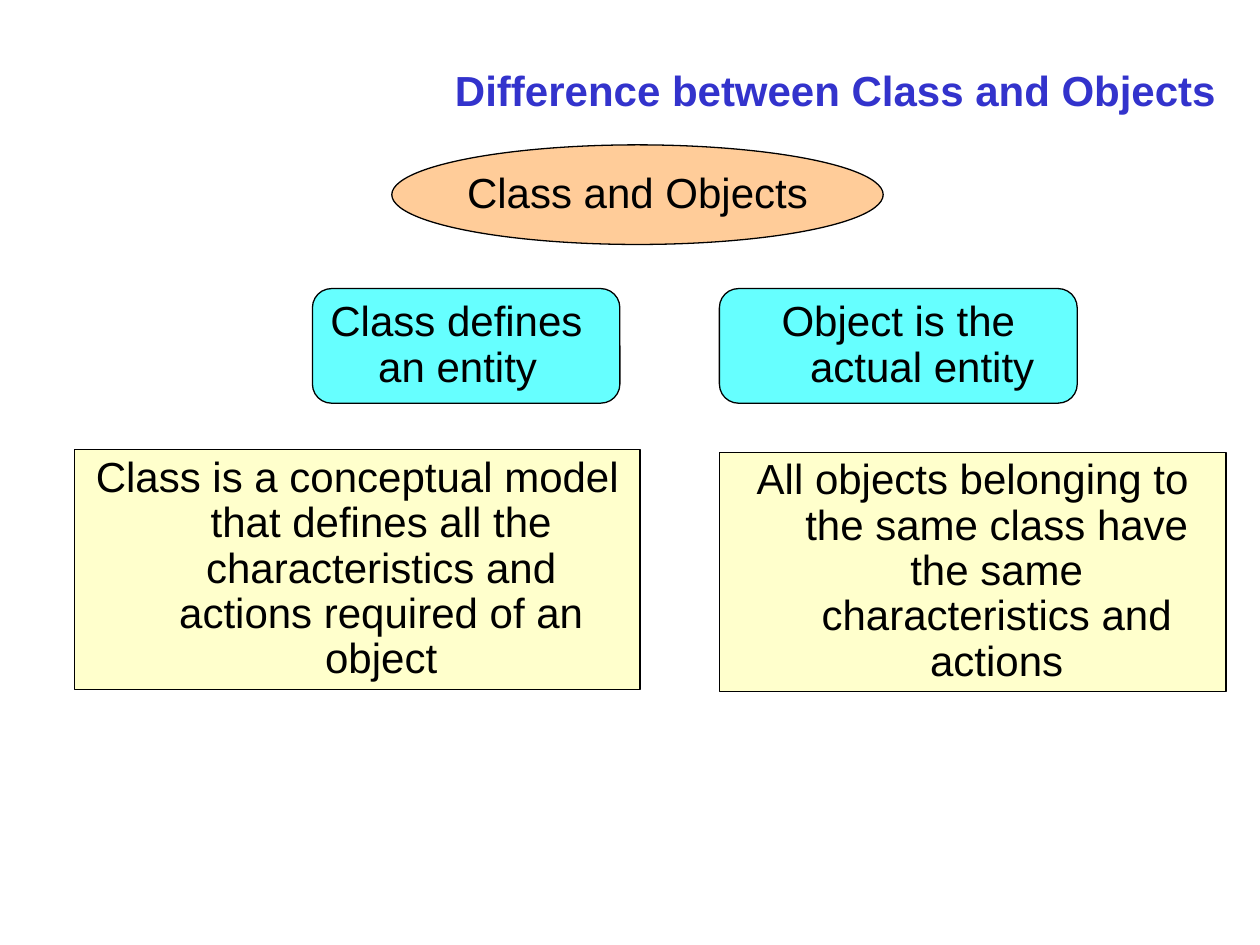
from pptx import Presentation
from pptx import util as u
from pptx.dml.color import RGBColor
from pptx.enum import shapes, text

TITLE_BLUE = RGBColor(0x33, 0x33, 0xCC)
BLACK = RGBColor(0, 0, 0)
CYAN = RGBColor(0x66, 0xFF, 0xFF)
CREAM = RGBColor(0xFF, 0xFF, 0xCC)
PEACH = RGBColor(0xFF, 0xCC, 0x99)

ROUNDED = shapes.MSO_SHAPE.ROUNDED_RECTANGLE
PROCESS = shapes.MSO_SHAPE.FLOWCHART_PROCESS
OVAL = shapes.MSO_SHAPE.OVAL
LEFT, CENTER, RIGHT = text.PP_ALIGN.LEFT, text.PP_ALIGN.CENTER, text.PP_ALIGN.RIGHT


def add_text(para, words, color, align):
    para.alignment = align
    span = para.add_run()
    span.text = words
    span.font.name = "Arial"
    span.font.size = u.Pt(24)
    span.font.color.rgb = color
    return span


deck = Presentation()
deck.slide_width = u.Inches(10)
deck.slide_height = u.Inches(7.5)
page = deck.slides.add_slide(deck.slide_layouts[5])

title = page.shapes.title
title.left, title.top = u.Inches(0.75), u.Inches(0.28)
title.width, title.height = u.Inches(9), u.Inches(0.87)
title.text_frame.vertical_anchor = text.MSO_ANCHOR.MIDDLE
heading = add_text(title.text_frame.paragraphs[0],
                   "Difference between Class and Objects", TITLE_BLUE, RIGHT)
heading.font.bold = True

boxes = [
    (ROUNDED, CYAN, (2.48, 2.29, 2.44, 0.91), LEFT, "Class defines an entity"),
    (ROUNDED, CYAN, (5.71, 2.29, 2.84, 0.91), CENTER, "Object is the actual entity"),
    (PROCESS, CREAM, (0.59, 3.57, 4.49, 1.9), CENTER,
     "Class is a conceptual model that defines all the characteristics "
     "and actions required of an object"),
    (OVAL, PEACH, (3.11, 1.15, 3.9, 0.79), CENTER, "Class and Objects"),
    (PROCESS, CREAM, (5.71, 3.59, 4.02, 1.9), CENTER,
     "All objects belonging to the same class have the same "
     "characteristics and actions"),
]

for kind, fill, place, align, words in boxes:
    box = page.shapes.add_shape(kind, *[u.Inches(length) for length in place])
    box.shadow.inherit = False
    box.fill.solid()
    box.fill.fore_color.rgb = fill
    box.line.color.rgb = BLACK
    box.line.width = u.Pt(0.75)
    frame = box.text_frame
    frame.word_wrap = kind != OVAL
    frame.vertical_anchor = text.MSO_ANCHOR.MIDDLE
    if kind != OVAL:
        frame.auto_size = text.MSO_AUTO_SIZE.SHAPE_TO_FIT_TEXT
    para = frame.paragraphs[0]
    para.line_spacing = 0.9
    indents = para._p.get_or_add_pPr()
    indents.set("marL", str(u.Inches(0.38)))
    indents.set("indent", str(-u.Inches(0.38)))
    add_text(para, words, BLACK, align)

deck.save("out.pptx")
